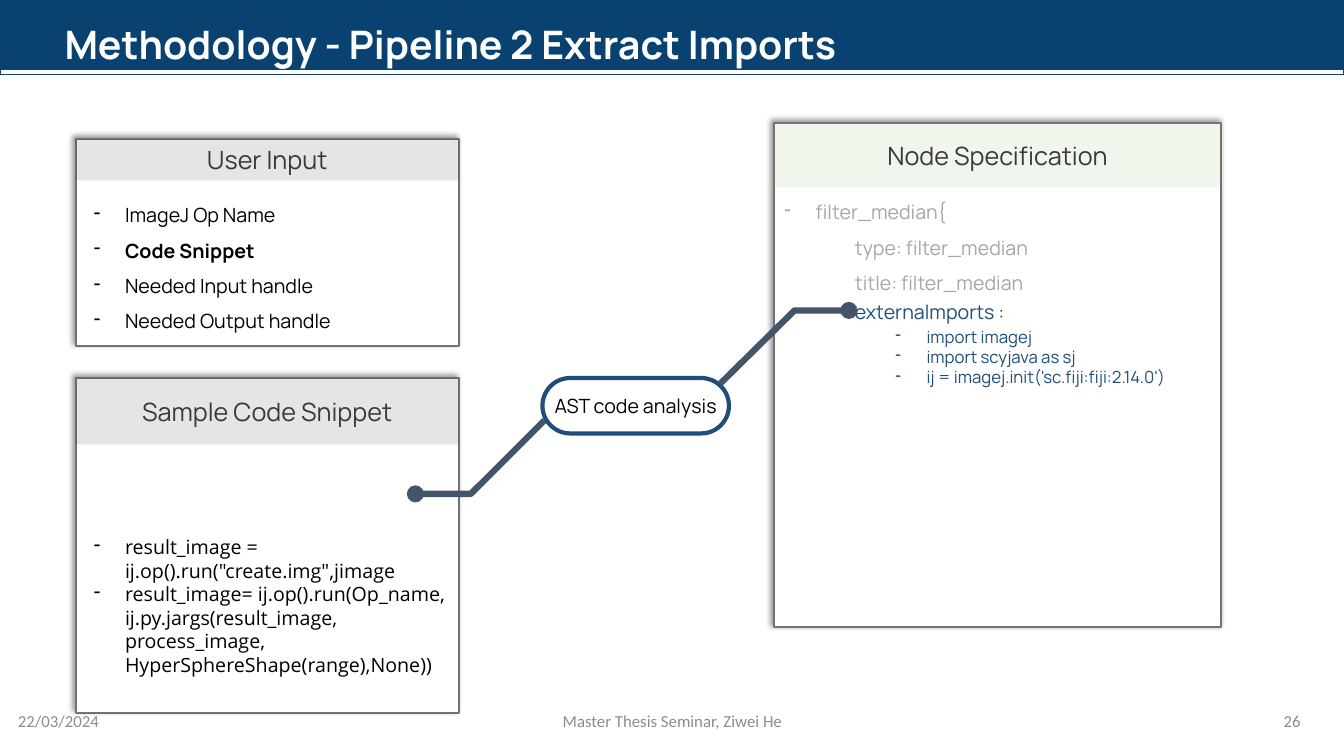
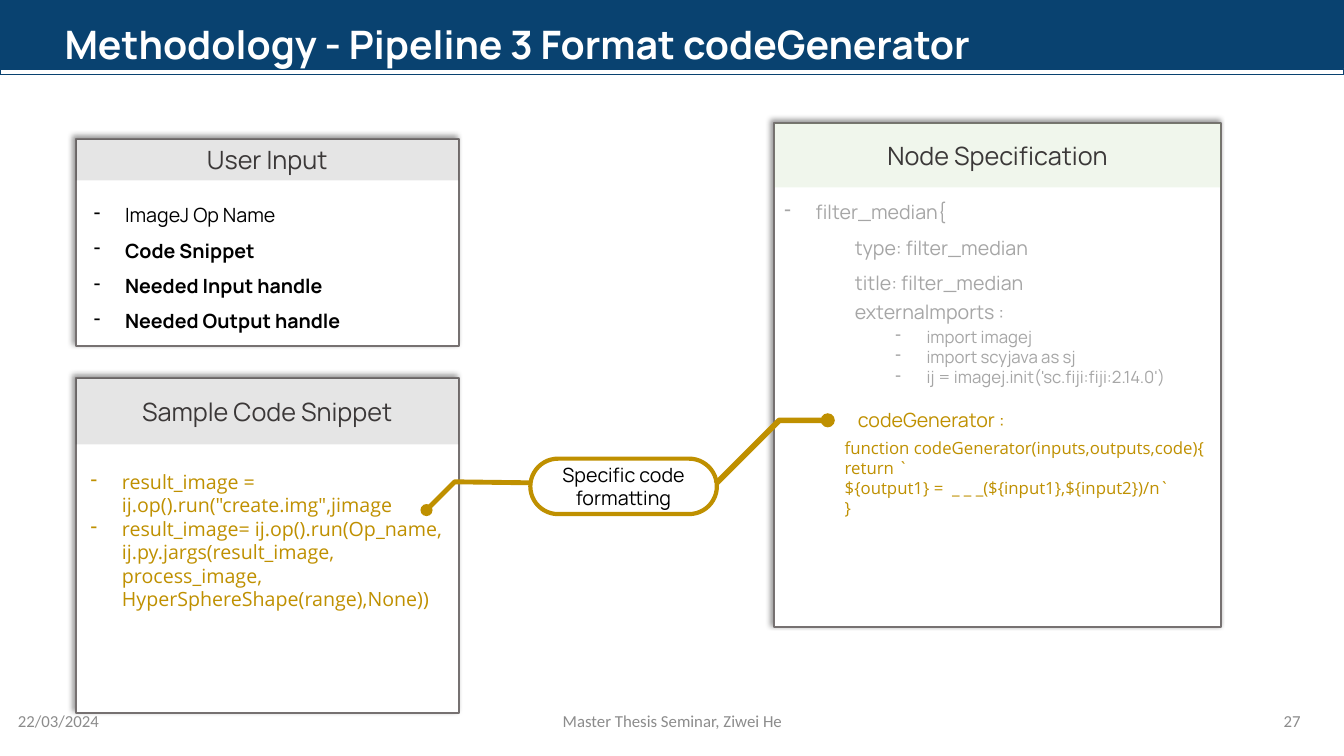
from pptx import Presentation
from pptx.dml.color import RGBColor
from pptx.enum.shapes import MSO_SHAPE as Shape
from pptx.enum.text import MSO_ANCHOR as Anchor, MSO_AUTO_SIZE as AutoSize, PP_ALIGN as Align
from pptx.oxml import parse_xml
from pptx.oxml.ns import nsdecls
from pptx.util import Emu, Pt

PX = 9144  # 100 px to the inch
WIDTH, HEIGHT = 1333, 750
BULLET_INDENT = 31
LIST_INSETS = (10, 0, 10, 0)
BOX_INSETS = (10, 5, 10, 5)
HEADING_FONT = "Manrope"
CODE_FONT = "Open Sans"
FOOTER_FONT = "Calibri"

COLORS = {
    "navy": "094270",
    "blue": "1F4E79",
    "slate": "44546A",
    "gold": "BF9000",
    "white": "FFFFFF",
    "black": "000000",
    "green": "70AD47",
    "border": "767171",
    "heading": "3B3838",
    "muted": "A6A6A6",
    "footer": "8C8C8C",
}

USER_INPUT = ["ImageJ Op Name", "Code Snippet", "Needed Input handle", "Needed Output handle"]
CODE_SNIPPET = [
    'result_image = ij.op().run("create.img",jimage',
    "result_image= ij.op().run(Op_name, ij.py.jargs(result_image, process_image, "
    "HyperSphereShape(range),None))",
]
NODE_FIELDS = ["filter_median{", "type: filter_median", "title: filter_median"]
IMPORTS = ["import imagej", "import scyjava as sj", "ij = imagej.init('sc.fiji:fiji:2.14.0')"]
GENERATOR_CODE = [
    "function codeGenerator(inputs,outputs,code){",
    "return `",
    "${output1} =  _ _ _(${input1},${input2})/n`",
    "}",
]

PAGES = [
    {
        "title": "Methodology - Pipeline 2 Extract Imports",
        "number": 26,
        "bold": USER_INPUT[1:2],
        "code_at": (83, 531, 369, 140),
        "code_color": "black",
        "imports_color": "blue",
        "step": "AST code analysis",
        "step_at": (538, 375, 185, 55),
        "step_color": "blue",
        "link_color": "slate",
        "links": [
            ([(412, 490), (467, 490), (540, 417)], 17, 4.5),
            ([(842, 308), (788, 308), (714, 381)], 17, 4.5),
        ],
    },
    {
        "title": "Methodology - Pipeline 3 Format codeGenerator",
        "number": 27,
        "bold": USER_INPUT[1:],
        "code_at": (80, 466, 369, 140),
        "code_color": "gold",
        "imports_color": "muted",
        "step": "Specific code formatting",
        "step_at": (526, 455, 185, 55),
        "step_color": "gold",
        "link_color": "gold",
        "links": [
            ([(423, 506), (451, 478), (525, 479)], 12, 3.5),
            ([(821, 417), (773, 417), (710, 480)], 14, 4),
        ],
        "generator": True,
    },
]


def px(length):
    return Emu(length * PX)


def rgb(name):
    return RGBColor.from_string(COLORS[name])


def place(shape, at):
    shape.left, shape.top, shape.width, shape.height = map(px, at)


def write_text(shape, lines, size=14, font=HEADING_FONT, color="black", bold=(), align=Align.LEFT,
               anchor=Anchor.TOP, insets=BOX_INSETS, spacing=1.0, bullets=0, indent=0):
    """Write one paragraph a line; the first `bullets` lines get a dash, the rest the indent."""
    frame = shape.text_frame
    frame.word_wrap = True
    frame.auto_size = AutoSize.NONE
    frame.vertical_anchor = anchor
    frame.margin_left, frame.margin_top, frame.margin_right, frame.margin_bottom = map(px, insets)
    for index, line in enumerate(lines):
        paragraph = frame.paragraphs[0] if index == 0 else frame.add_paragraph()
        set_bullet(paragraph, index < bullets, indent)
        paragraph.alignment = align
        paragraph.line_spacing = spacing
        paragraph.space_before = Pt(0)
        run = paragraph.add_run()
        run.text = line
        run.font.name = font
        run.font.size = Pt(size)
        run.font.bold = line in bold
        run.font.color.rgb = rgb(color)


def set_bullet(paragraph, bulleted, indent):
    properties = paragraph._p.get_or_add_pPr()
    margin, hanging = (BULLET_INDENT, -BULLET_INDENT) if bulleted else (indent, 0)
    properties.set("marL", str(px(margin)))
    properties.set("indent", str(px(hanging)))
    tags = ("buFontTx", 'buChar char="-"') if bulleted else ("buNone",)
    for tag in tags:
        name, _, attribute = tag.partition(" ")
        properties.append(parse_xml(f"<a:{name} {nsdecls('a')} {attribute}/>"))


def add_text(slide, at, lines, **formats):
    write_text(slide.shapes.add_textbox(*map(px, at)), lines, **formats)


def fill_list(slide, index, at, lines, **formats):
    """Fill a body placeholder and bring it in front of the card."""
    placeholder = slide.placeholders[index]
    place(placeholder, at)
    slide.shapes.element.append(placeholder.element)
    write_text(placeholder, lines, insets=LIST_INSETS, **formats)


def add_box(slide, kind, at, fill=None, line=None, line_width=1.0):
    shape = slide.shapes.add_shape(kind, *map(px, at))
    shape.shadow.inherit = False
    if fill:
        shape.fill.solid()
        shape.fill.fore_color.rgb = rgb(fill)
    else:
        shape.fill.background()
    if line:
        shape.line.color.rgb = rgb(line)
        shape.line.width = Pt(line_width)
    else:
        shape.line.fill.background()
    return shape


def add_card(slide, at, heading, heading_height, tint):
    left, top, width, _ = at
    card = add_box(slide, Shape.RECTANGLE, at, "white", "border", 1.5)
    effects = card.element.spPr.find("{*}effectLst")
    effects.append(parse_xml(
        f'<a:outerShdw {nsdecls("a")} blurRad="{Pt(4)}" dist="{Pt(3)}" dir="13500000" '
        'algn="br" rotWithShape="0"><a:srgbClr val="000000"><a:alpha val="40000"/>'
        "</a:srgbClr></a:outerShdw>"))
    header = add_box(slide, Shape.RECTANGLE, (left, top, width, heading_height), tint)
    header_color = header.element.spPr.find("{*}solidFill")[0]
    header_color.append(parse_xml(f'<a:alpha {nsdecls("a")} val="10000"/>'))
    write_text(header, [heading], size=18, color="heading", align=Align.CENTER,
               anchor=Anchor.MIDDLE)


def add_link(slide, points, dot, width, color):
    """Draw a bent line that starts at a round dot."""
    builder = slide.shapes.build_freeform(*points[0], scale=PX)
    builder.add_line_segments(points[1:], close=False)
    link = builder.convert_to_shape()
    link.shadow.inherit = False
    link.fill.background()
    link.line.color.rgb = rgb(color)
    link.line.width = Pt(width)
    x, y = points[0]
    add_box(slide, Shape.OVAL, (x - dot / 2, y - dot / 2, dot, dot), color)


def add_bands(slide, layout):
    """Draw the title bands and move them to the shared layout."""
    bands = [
        add_box(slide, Shape.RECTANGLE, (0, 0, WIDTH, 68), "navy", "navy", 0.75),
        add_box(slide, Shape.RECTANGLE, (0, 69, WIDTH, 5), "white", "navy", 1),
    ]
    for index, band in enumerate(bands):
        band.element.xpath("./p:nvSpPr/p:cNvPr")[0].set("id", str(100 + index))
        layout.shapes.element.insert(2 + index, band.element)


def add_footer(slide, number):
    for left, width, text, align in [
        (8, 105, "22/03/2024", Align.LEFT),
        (442, 450, "Master Thesis Seminar, Ziwei He", Align.CENTER),
        (1253, 47, str(number), Align.RIGHT),
    ]:
        add_text(slide, (left, 695, width, 40), [text], size=12, font=FOOTER_FONT,
                 color="footer", align=align, anchor=Anchor.MIDDLE)


def add_field_name(slide, at, text, color):
    add_text(slide, at, [text], color=color, anchor=Anchor.MIDDLE, insets=LIST_INSETS,
             spacing=1.5, indent=70)


def build_page(slide, page):
    title = slide.shapes.title
    place(title, (54, 15, 981, 57))
    write_text(title, [page["title"]], size=28, color="white", bold=[page["title"]])

    add_card(slide, (75, 138, 380, 205), "User Input", 41, "black")
    fill_list(slide, 1, (83, 190, 371, 146), USER_INPUT, bold=page["bold"], spacing=1.5,
              bullets=len(USER_INPUT))

    add_card(slide, (768, 122, 443, 500), "Node Specification", 64, "green")
    fill_list(slide, 2, (768, 187, 432, 115), NODE_FIELDS, color="muted", spacing=1.5,
              bullets=1, indent=70)
    add_field_name(slide, (768, 282, 432, 43), "externalmports :", page["imports_color"])
    fill_list(slide, 3, (878, 324, 322, 61), IMPORTS, size=12, color=page["imports_color"],
              bullets=len(IMPORTS))
    if page.get("generator"):
        add_field_name(slide, (771, 389, 432, 43), "codeGenerator :", "gold")
        add_text(slide, (828, 429, 386, 91), GENERATOR_CODE, size=12, font=CODE_FONT,
                 color="gold")

    add_card(slide, (75, 375, 380, 332), "Sample Code Snippet", 66, "black")
    fill_list(slide, 4, page["code_at"], CODE_SNIPPET, font=CODE_FONT,
              color=page["code_color"], bullets=len(CODE_SNIPPET))

    step = add_box(slide, Shape.ROUNDED_RECTANGLE, page["step_at"], line=page["step_color"],
                   line_width=3)
    step.adjustments[0] = 0.5
    write_text(step, [page["step"]], align=Align.CENTER, anchor=Anchor.MIDDLE,
               insets=(0, 0, 0, 0))
    for points, dot, width in page["links"]:
        add_link(slide, points, dot, width, page["link_color"])
    add_footer(slide, page["number"])


def main():
    presentation = Presentation()
    presentation.slide_width, presentation.slide_height = px(WIDTH), px(HEIGHT)
    layout = presentation.slide_layouts.get_by_name("Comparison")
    slides = [presentation.slides.add_slide(layout) for _ in PAGES]
    add_bands(slides[0], layout)
    for slide, page in zip(slides, PAGES):
        build_page(slide, page)
    presentation.save("out.pptx")


if __name__ == "__main__":
    main()
